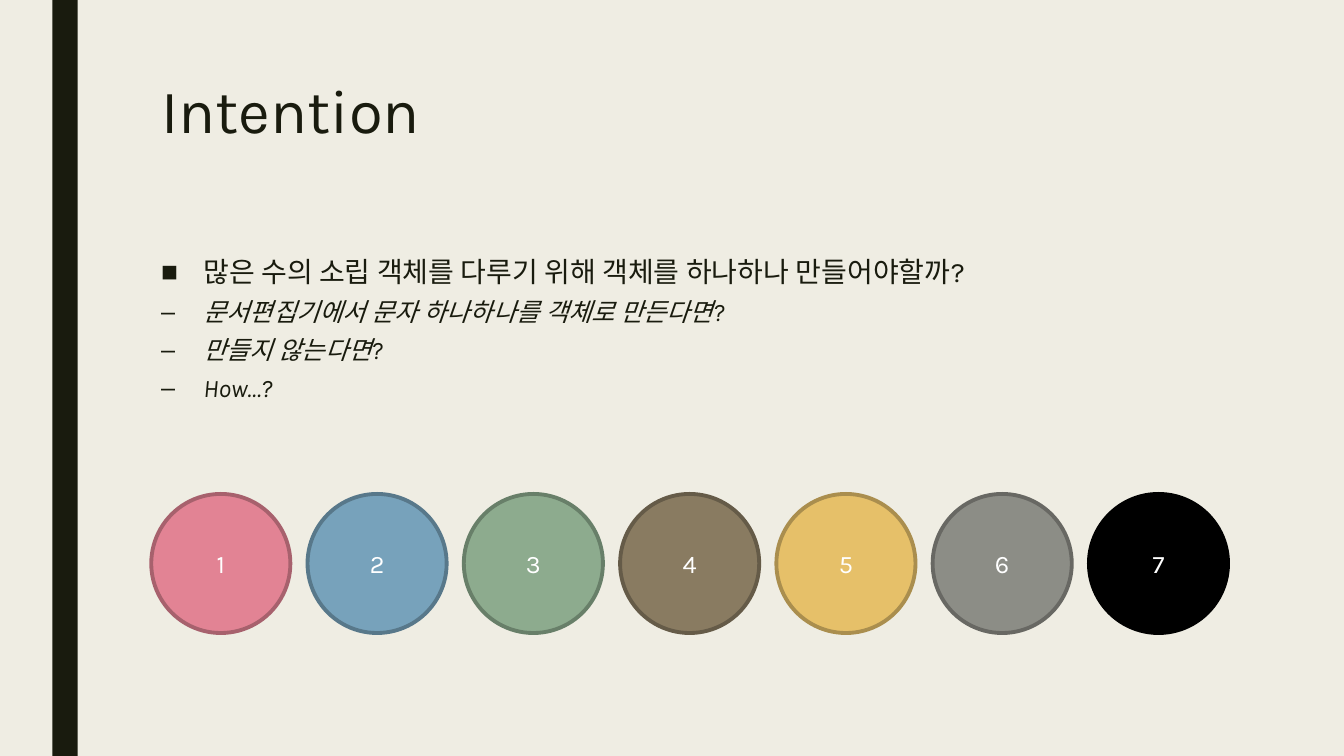
from lxml import etree
from pptx import Presentation
from pptx.dml.color import RGBColor
from pptx.enum.shapes import MSO_SHAPE
from pptx.enum.text import MSO_ANCHOR, MSO_AUTO_SIZE, PP_ALIGN
from pptx.oxml.ns import qn
from pptx.util import Inches, Pt

RECTANGLE, OVAL = MSO_SHAPE.RECTANGLE, MSO_SHAPE.OVAL
TOP, MIDDLE = MSO_ANCHOR.TOP, MSO_ANCHOR.MIDDLE
LEFT, CENTER = PP_ALIGN.LEFT, PP_ALIGN.CENTER
NO_FIT = MSO_AUTO_SIZE.NONE

FONT = "Karla"
CREAM = RGBColor(0xEF, 0xED, 0xE3)
INK = RGBColor(0x19, 0x1B, 0x0E)
WHITE = RGBColor(0xFF, 0xFF, 0xFF)

TITLE = "Intention"
QUESTION = "많은 수의 소립 객체를 다루기 위해 객체를 하나하나 만들어야할까?"
FOLLOW_UPS = [
    "문서편집기에서 문자 하나하나를 객체로 만든다면?",
    "만들지 않는다면?",
    "How…?",
]
CIRCLES = [
    ("1", RGBColor(0xE2, 0x83, 0x94), RGBColor(0xA7, 0x61, 0x6D)),
    ("2", RGBColor(0x77, 0xA2, 0xBB), RGBColor(0x58, 0x78, 0x8A)),
    ("3", RGBColor(0x8D, 0xAB, 0x8E), RGBColor(0x68, 0x7F, 0x69)),
    ("4", RGBColor(0x89, 0x7B, 0x61), RGBColor(0x65, 0x5B, 0x48)),
    ("5", RGBColor(0xE6, 0xC0, 0x69), RGBColor(0xAA, 0x8E, 0x4E)),
    ("6", RGBColor(0x8C, 0x8D, 0x86), RGBColor(0x68, 0x68, 0x63)),
    ("7", RGBColor(0, 0, 0), RGBColor(0, 0, 0)),
]
MARGIN, CONTENT_WIDTH = 1.5, 10.5
CIRCLE_TOP, CIRCLE_SIZE, CIRCLE_STEP = 4.9, 1.38, 1.55


def set_font(para, size, color, italic=False):
    """Format a whole paragraph."""
    para.font.name = FONT
    para.font.size = Pt(size)
    para.font.color.rgb = color
    para.font.italic = italic


def add_bullet(para, symbol):
    """Give a paragraph a bullet with a hanging indent."""
    properties = para._p.get_or_add_pPr()
    properties.set("marL", str(Inches(0.42)))
    properties.set("indent", str(-Inches(0.42)))
    etree.SubElement(properties, qn("a:buFont")).set("typeface", "Arial")
    etree.SubElement(properties, qn("a:buChar")).set("char", symbol)


def add_solid(page, kind, left, top, width, height, color):
    """Add a flat filled shape without a line."""
    shape = page.shapes.add_shape(
        kind, Inches(left), Inches(top), Inches(width), Inches(height))
    shape.shadow.inherit = False
    shape.fill.solid()
    shape.fill.fore_color.rgb = color
    shape.line.fill.background()
    return shape


def add_title(page):
    """Place and format the title."""
    title = page.shapes.title
    title.left, title.top = Inches(MARGIN), Inches(0.75)
    title.width, title.height = Inches(CONTENT_WIDTH), Inches(1.62)
    frame = title.text_frame
    frame.text = TITLE
    frame.auto_size = NO_FIT
    frame.vertical_anchor = TOP
    para = frame.paragraphs[0]
    para.alignment = LEFT
    para.line_spacing = 0.89
    set_font(para, 44, INK)


def add_questions(page):
    """Add the main question and its follow-ups."""
    box = page.shapes.add_textbox(
        Inches(MARGIN), Inches(2.5), Inches(CONTENT_WIDTH), Inches(3.92))
    frame = box.text_frame
    frame.word_wrap = True
    frame.text = "\n".join([QUESTION] + FOLLOW_UPS)
    for index, para in enumerate(frame.paragraphs):
        follow_up = index > 0
        para.level = 3 if follow_up else 0
        para.line_spacing = 0.94
        para.space_before = Pt(5 if follow_up else 10)
        para.space_after = Pt(2)
        add_bullet(para, "–" if follow_up else "■")
        set_font(para, 18 if follow_up else 20, INK, follow_up)


def add_circles(page):
    """Add the row of numbered circles."""
    for index, (number, fill, outline) in enumerate(CIRCLES):
        circle = add_solid(page, OVAL, MARGIN + index * CIRCLE_STEP,
                           CIRCLE_TOP, CIRCLE_SIZE, CIRCLE_SIZE, fill)
        circle.line.color.rgb = outline
        circle.line.width = Pt(2.75)
        frame = circle.text_frame
        frame.text = number
        frame.vertical_anchor = MIDDLE
        para = frame.paragraphs[0]
        para.alignment = CENTER
        set_font(para, 18, WHITE)


def main():
    """Build and save the slide."""
    deck = Presentation()
    deck.slide_width, deck.slide_height = Inches(13.33), Inches(7.5)
    page = deck.slides.add_slide(deck.slide_layouts[5])
    page.background.fill.solid()
    page.background.fill.fore_color.rgb = CREAM
    add_solid(page, RECTANGLE, 0.52, 0, 0.25, 7.5, INK)
    add_title(page)
    add_questions(page)
    add_circles(page)
    deck.save("out.pptx")


if __name__ == "__main__":
    main()
